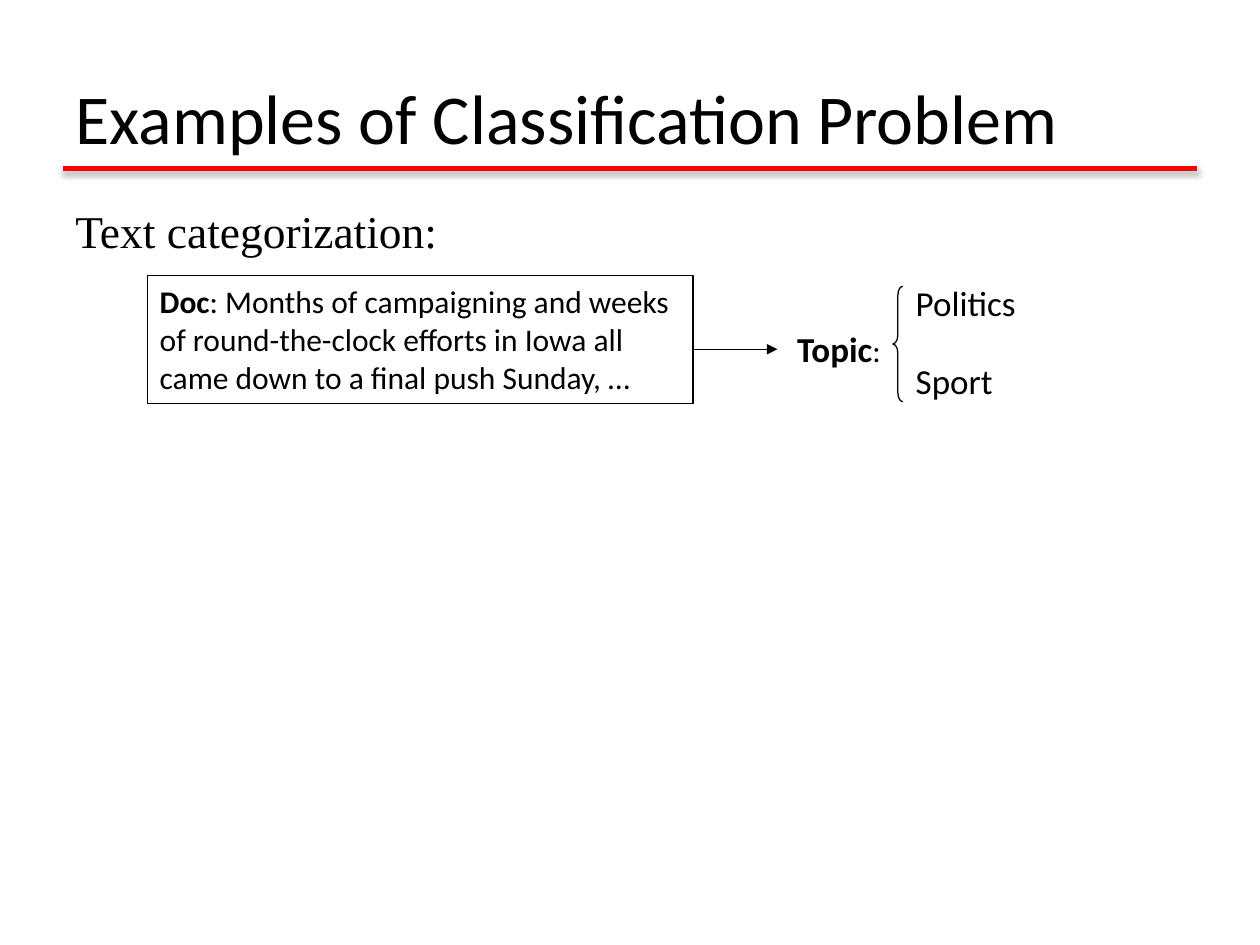
from lxml import etree
from pptx import Presentation
from pptx.dml.color import RGBColor
from pptx.enum import shapes, text
from pptx.oxml.ns import qn
from pptx.util import Cm, Pt

TITLE = "Examples of Classification Problem"
HEADING = "Text categorization:"
DOC = [("Doc", True), (": Months of campaigning and weeks of round-the-clock efforts "
                       "in Iowa all came down to a final push Sunday, …", False)]
TOPIC = [("Topic", True), (":", False)]
TOPICS = ["Politics", "Sport"]

THEME = {
    "ink": RGBColor(0, 0, 0), "rule": RGBColor(255, 0, 0),
    "sans": "Calibri", "serif": "Times New Roman",
    "title": Pt(40), "heading": Pt(26), "topic": Pt(20), "doc": Pt(18),
    "thin": Pt(0.75), "thick": Pt(3), "topic_gap": Pt(20),
}

# left, top, width, height in cm
BOXES = {
    "title": (1.27, 0.76, 22.86, 3.18),
    "heading": (1.27, 3.96, 23.5, 1.3),
    "doc": (2.97, 5.56, 11, 2.57),
    "topic": (15.82, 6.48, 2.59, 1.09),
    "topics": (18.21, 5.56, 5.51, 2.77),
    "brace": (18, 5.77, 0.2, 2.33),
}
# x1, y1, x2, y2 in cm
RULE = (1.27, 3.39, 24.13, 3.39)
ARROW = (14, 7.04, 15.67, 7.04)


def cm(lengths):
    return [Cm(n) for n in lengths]


def write(sp, paragraphs, size, font="sans", gap=0):
    """Fill a shape with paragraphs, each a list of (text, bold) runs."""
    tf = sp.text_frame
    tf.word_wrap = True
    for i, runs in enumerate(paragraphs):
        p = tf.add_paragraph() if i else tf.paragraphs[0]
        p.alignment = text.PP_ALIGN.LEFT
        if i:
            p.space_before = gap
        p.font.name, p.font.size = THEME[font], THEME[size]
        p.font.color.rgb = THEME["ink"]
        for words, bold in runs:
            r = p.add_run()
            r.text, r.font.bold = words, bold
    return tf


def add_outline(slide, kind, box):
    sp = slide.shapes.add_shape(kind, *cm(BOXES[box]))
    sp.shadow.inherit = False
    sp.fill.background()
    sp.line.color.rgb, sp.line.width = THEME["ink"], THEME["thin"]
    return sp


def add_line(slide, ends, color, width):
    """Draw a straight line; return it with its empty effect list."""
    line = slide.shapes.add_connector(shapes.MSO_CONNECTOR.STRAIGHT, *cm(ends))
    line.line.color.rgb, line.line.width = THEME[color], THEME[width]
    effects = etree.SubElement(line._element.spPr, qn("a:effectLst"))
    return line, effects


def add_shadow(effects):
    shadow = etree.SubElement(effects, qn("a:outerShdw"), blurRad=str(Pt(3.1)),
                              dist=str(Pt(1.8)), dir="5400000", rotWithShape="0")
    color = etree.SubElement(shadow, qn("a:srgbClr"), val=str(THEME["ink"]))
    etree.SubElement(color, qn("a:alpha"), val="35000")


def main():
    prs = Presentation()
    prs.slide_width, prs.slide_height = Cm(25.4), Cm(19.05)
    slide = prs.slides.add_slide(prs.slide_layouts[5])

    title = slide.shapes.title
    title.left, title.top, title.width, title.height = cm(BOXES["title"])
    tf = write(title, [[(TITLE, False)]], "title")
    tf.vertical_anchor = text.MSO_ANCHOR.MIDDLE
    _, effects = add_line(slide, RULE, "rule", "thick")
    add_shadow(effects)

    heading = slide.shapes.add_textbox(*cm(BOXES["heading"]))
    write(heading, [[(HEADING, False)]], "heading", "serif")

    doc = add_outline(slide, shapes.MSO_SHAPE.RECTANGLE, "doc")
    write(doc, [DOC], "doc").vertical_anchor = text.MSO_ANCHOR.TOP

    arrow, _ = add_line(slide, ARROW, "ink", "thin")
    etree.SubElement(arrow.line._get_or_add_ln(), qn("a:tailEnd"), type="triangle")

    topic = slide.shapes.add_textbox(*cm(BOXES["topic"]))
    tf = write(topic, [TOPIC], "topic")
    tf.paragraphs[0].runs[-1].font.size = THEME["doc"]

    topics = slide.shapes.add_textbox(*cm(BOXES["topics"]))
    write(topics, [[(name, False)] for name in TOPICS], "topic", gap=THEME["topic_gap"])

    brace = add_outline(slide, shapes.MSO_SHAPE.LEFT_BRACE, "brace")
    brace.adjustments[0], brace.adjustments[1] = 0.92, 0.5

    prs.save("out.pptx")


if __name__ == "__main__":
    main()
